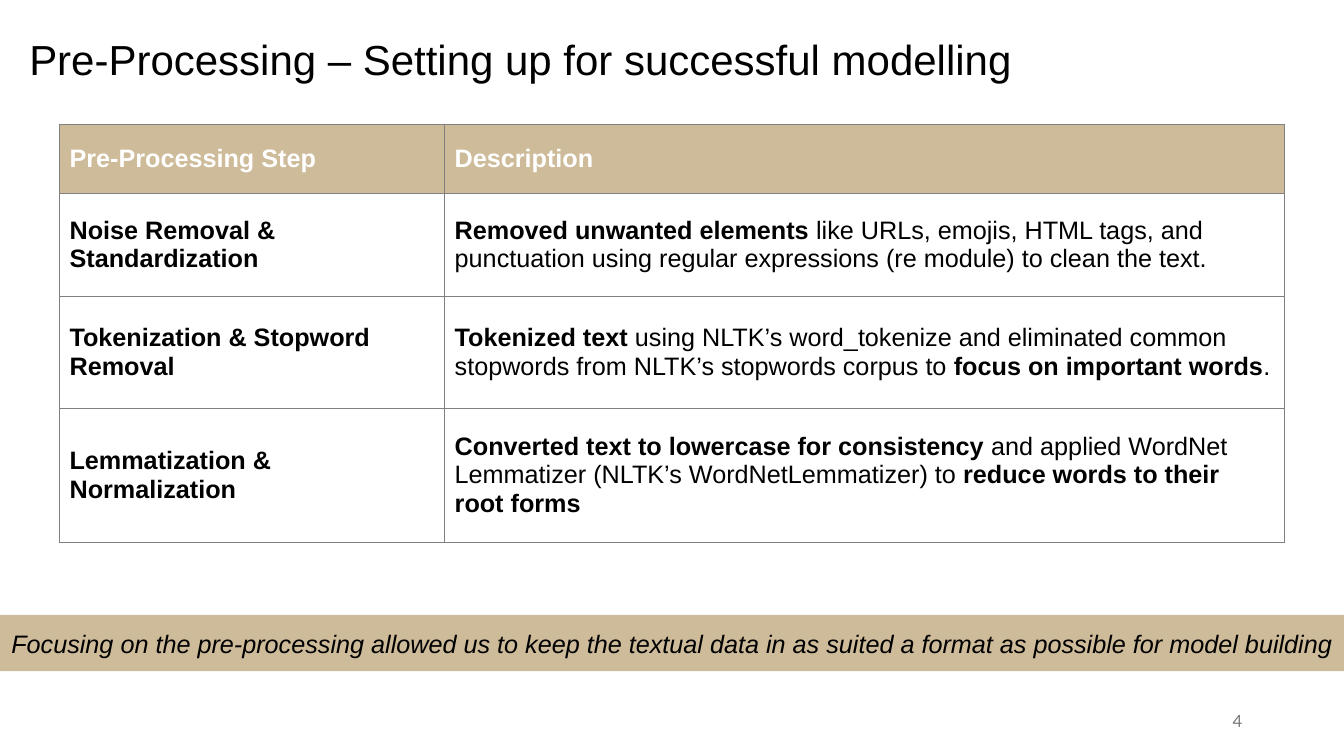
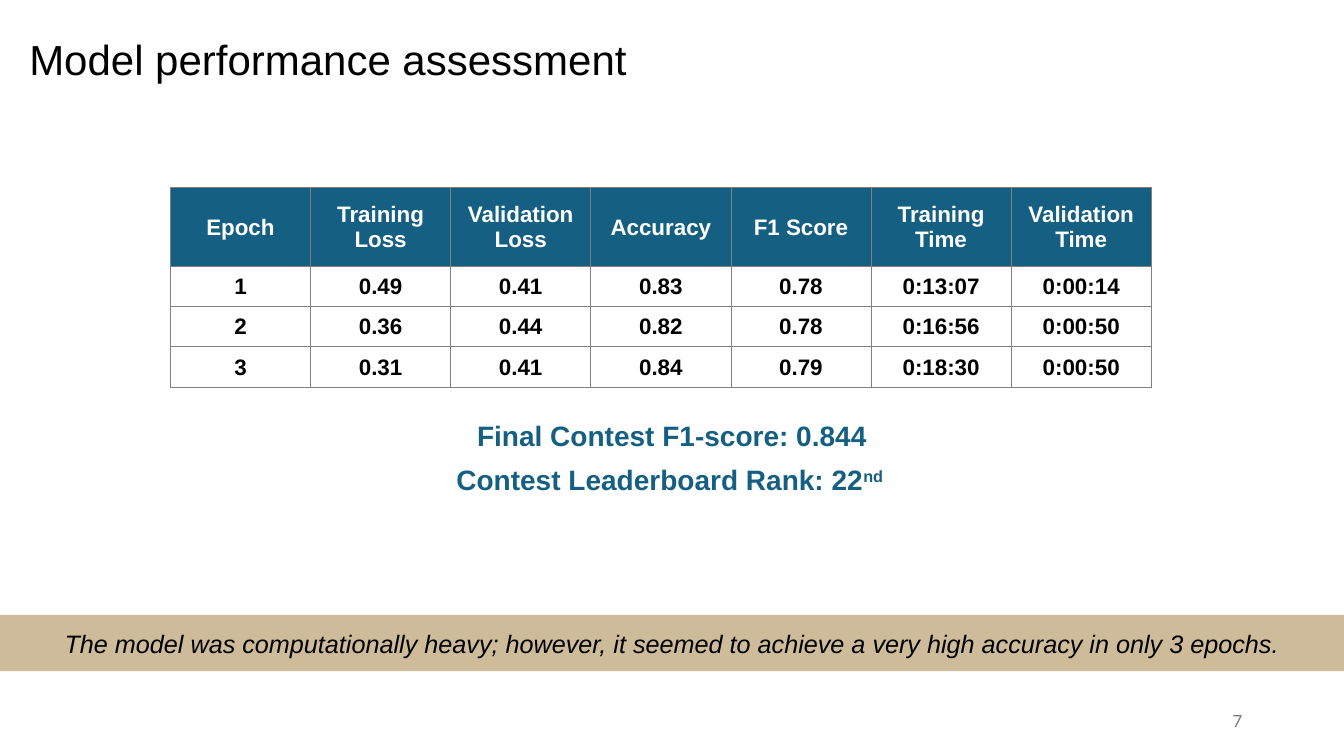
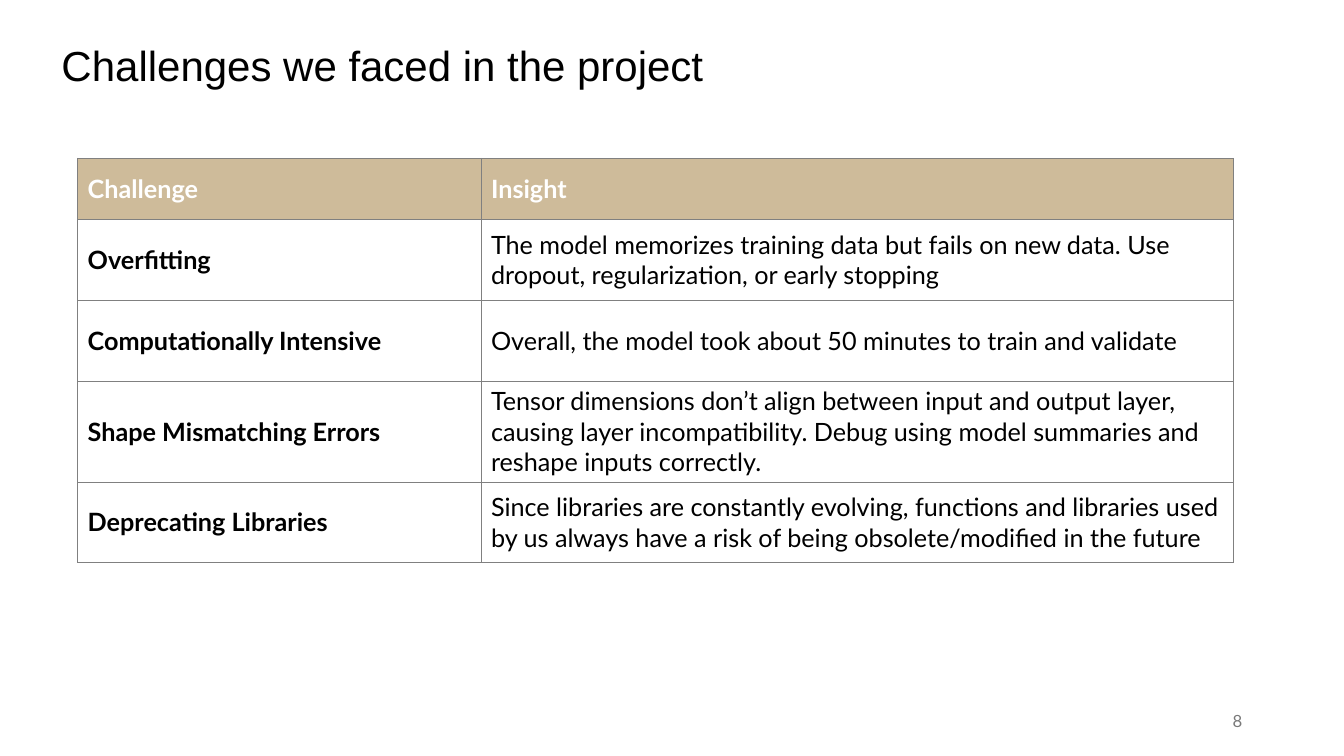
from lxml.etree import SubElement
from pptx import Presentation
from pptx.dml.color import RGBColor
from pptx.enum.shapes import MSO_SHAPE
from pptx.enum.text import MSO_ANCHOR, MSO_AUTO_SIZE, PP_ALIGN
from pptx.oxml.ns import qn
from pptx.util import Emu, Pt

PX = 9144  # one px is a hundredth of an inch
WIDTH, HEIGHT = 1333, 750
TITLE_ONLY, TITLE_BODY = 5, 1


def px(*lengths):
    return [Emu(n * PX) for n in lengths]


def rgb(value):
    return RGBColor.from_string(value)


def write(p, text, size=18, color="000000", font="Arial", bold=False,
          italic=False, align=PP_ALIGN.LEFT, line=None, before=None, sup=None):
    """Add text to a paragraph; parts between asterisks are bold."""
    p.alignment = align
    if line is not None:
        p.line_spacing = line
    if before is not None:
        p.space_before = Pt(before)
    for i, part in enumerate(text.split("*")):
        if not part:
            continue
        r = p.add_run()
        r.text = part
        f = r.font
        f.size, f.name, f.italic = Pt(size), font, italic
        f.bold = bold or i % 2 == 1
        f.color.rgb = rgb(color)
        if sup:
            r._r.get_or_add_rPr().set("baseline", str(sup * 1000))


class Deck:
    SAND, BLUE, WHITE, GREY, RULE = "CEBB9A", "156082", "FFFFFF", "797979", "808080"

    def __init__(self):
        self.prs = Presentation()
        self.prs.slide_width, self.prs.slide_height = px(WIDTH, HEIGHT)
        self.s = None

    def slide(self, title, number, left=19, top=24, width=1232, layout=TITLE_ONLY):
        self.s = self.prs.slides.add_slide(self.prs.slide_layouts[layout])
        tf = self.place(self.s.shapes.title, left, top, width, 75)
        write(tf.paragraphs[0], title, size=30, line=0.9)
        sp = self.s.shapes.add_textbox(0, 0, 0, 0)
        tf = self.place(sp, 942, 695, 300, 40)
        write(tf.paragraphs[0], str(number), size=12, color=self.GREY, font="Lato",
              align=PP_ALIGN.RIGHT)

    def place(self, sp, left, top, width, height, anchor=MSO_ANCHOR.MIDDLE):
        sp.left, sp.top, sp.width, sp.height = px(left, top, width, height)
        tf = sp.text_frame
        tf.word_wrap, tf.auto_size = True, MSO_AUTO_SIZE.NONE
        tf.vertical_anchor = anchor
        return tf

    def band(self, text):
        sp = self.s.shapes.add_shape(MSO_SHAPE.RECTANGLE, 0, 0, 0, 0)
        sp.shadow.inherit = False
        sp.fill.solid()
        sp.fill.fore_color.rgb = rgb(self.SAND)
        sp.line.fill.background()
        tf = self.place(sp, 0, 610, WIDTH, 56)
        tf.margin_left = tf.margin_right = Emu(5 * PX)
        write(tf.paragraphs[0], text, italic=True, align=PP_ALIGN.CENTER)

    def body(self, lines, left, top, width, height, **fmt):
        """Fill the body placeholder; each line is (text, superscript)."""
        tf = self.place(self.s.placeholders[1], left, top, width, height, MSO_ANCHOR.TOP)
        for i, (text, raised) in enumerate(lines):
            p = tf.add_paragraph() if i else tf.paragraphs[0]
            write(p, text, **fmt)
            write(p, raised, sup=30, **fmt)
            pPr = p._p.get_or_add_pPr()
            pPr.set("marL", "0")
            pPr.set("indent", "0")
            SubElement(pPr, qn("a:buNone"))

    def table(self, rows, left, top, cols, heights, head=SAND, fill=WHITE,
              margins=None, **fmt):
        frame = self.s.shapes.add_table(len(rows), len(cols), *px(
            left, top, sum(cols), sum(heights)))
        tbl = frame.table
        tbl.first_row = tbl.horz_banding = False
        for col, width in zip(tbl.columns, cols):
            col.width = Emu(width * PX)
        for i, (row, height) in enumerate(zip(rows, heights)):
            tbl.rows[i].height = Emu(height * PX)
            for j, text in enumerate(row):
                cell = tbl.cell(i, j)
                self.cell_style(cell, fill if i else head, margins)
                write(cell.text_frame.paragraphs[0], text, bold=i == 0 or j == 0
                      or fill is None, color="000000" if i else self.WHITE, **fmt)

    def cell_style(self, cell, fill, margins):
        cell.vertical_anchor = MSO_ANCHOR.MIDDLE
        if margins:
            (cell.margin_left, cell.margin_top,
             cell.margin_right, cell.margin_bottom) = px(*margins)
        tcPr = cell._tc.get_or_add_tcPr()
        for side in ("L", "R", "T", "B"):
            ln = SubElement(tcPr, qn(f"a:ln{side}"), w=str(Pt(0.5)))
            solid = SubElement(ln, qn("a:solidFill"))
            SubElement(solid, qn("a:srgbClr"), val=self.RULE)
        if fill:
            cell.fill.solid()
            cell.fill.fore_color.rgb = rgb(fill)
        else:
            cell.fill.background()


def main():
    d = Deck()

    # Pre-processing steps
    d.slide("Pre-Processing – Setting up for successful modelling", 4)
    d.table([
        ("Pre-Processing Step", "Description"),
        ("Noise Removal & Standardization",
         "*Removed unwanted elements *like URLs, emojis, HTML tags, and punctuation "
         "using regular expressions (re module) to clean the text."),
        ("Tokenization & Stopword Removal",
         "*Tokenized text *using NLTK’s word_tokenize and eliminated common stopwords "
         "from NLTK’s stopwords corpus to *focus on important words*."),
        ("Lemmatization & Normalization",
         "*Converted text to lowercase for consistency *and applied WordNet Lemmatizer "
         "(NLTK’s WordNetLemmatizer) to *reduce words to their root forms*"),
    ], 59, 123, cols=(382, 833), heights=(69, 102, 111, 133))
    d.band("Focusing on the pre-processing allowed us to keep the textual data in as "
           "suited a format as possible for model building")

    # Model performance
    d.slide("Model performance assessment", 7, width=1293, layout=TITLE_BODY)
    d.band("The model was computationally heavy; however, it seemed to achieve a very "
           "high accuracy in only 3 epochs.")
    d.body([("Final Contest F1-score: 0.844", ""),
            ("Contest Leaderboard Rank: 22", "nd ")],
           387, 414, 559, 117, size=20, color=d.BLUE, bold=True,
           align=PP_ALIGN.CENTER, line=0.9, before=10)
    d.table([
        ("Epoch", "Training Loss", "Validation Loss", "Accuracy", "F1 Score",
         "Training Time", "Validation Time"),
        ("1", "0.49", "0.41", "0.83", "0.78", "0:13:07", "0:00:14"),
        ("2", "0.36", "0.44", "0.82", "0.78", "0:16:56", "0:00:50"),
        ("3", "0.31", "0.41", "0.84", "0.79", "0:18:30", "0:00:50"),
    ], 169, 186, cols=[139] * 7, heights=[78] + [40] * 3, head=d.BLUE, fill=None,
        margins=(1, 1, 1, 0), size=16, align=PP_ALIGN.CENTER)

    # Challenges
    d.slide("Challenges we faced in the project", 8, left=51, top=30)
    d.table([
        ("Challenge", "Insight"),
        ("Overfitting",
         "The model memorizes training data but fails on new data. Use dropout, "
         "regularization, or early stopping"),
        ("Computationally Intensive",
         "Overall, the model took about 50 minutes to train and validate"),
        ("Shape Mismatching Errors",
         "Tensor dimensions don’t align between input and output layer, causing layer "
         "incompatibility. Debug using model summaries and reshape inputs correctly."),
        ("Deprecating Libraries",
         "Since libraries are constantly evolving, functions and libraries used by us "
         "always have a risk of being obsolete/modified in the future"),
    ], 77, 157, cols=(400, 746), heights=[61] + [80] * 4, font="Lato")

    d.prs.save("out.pptx")


if __name__ == "__main__":
    main()
